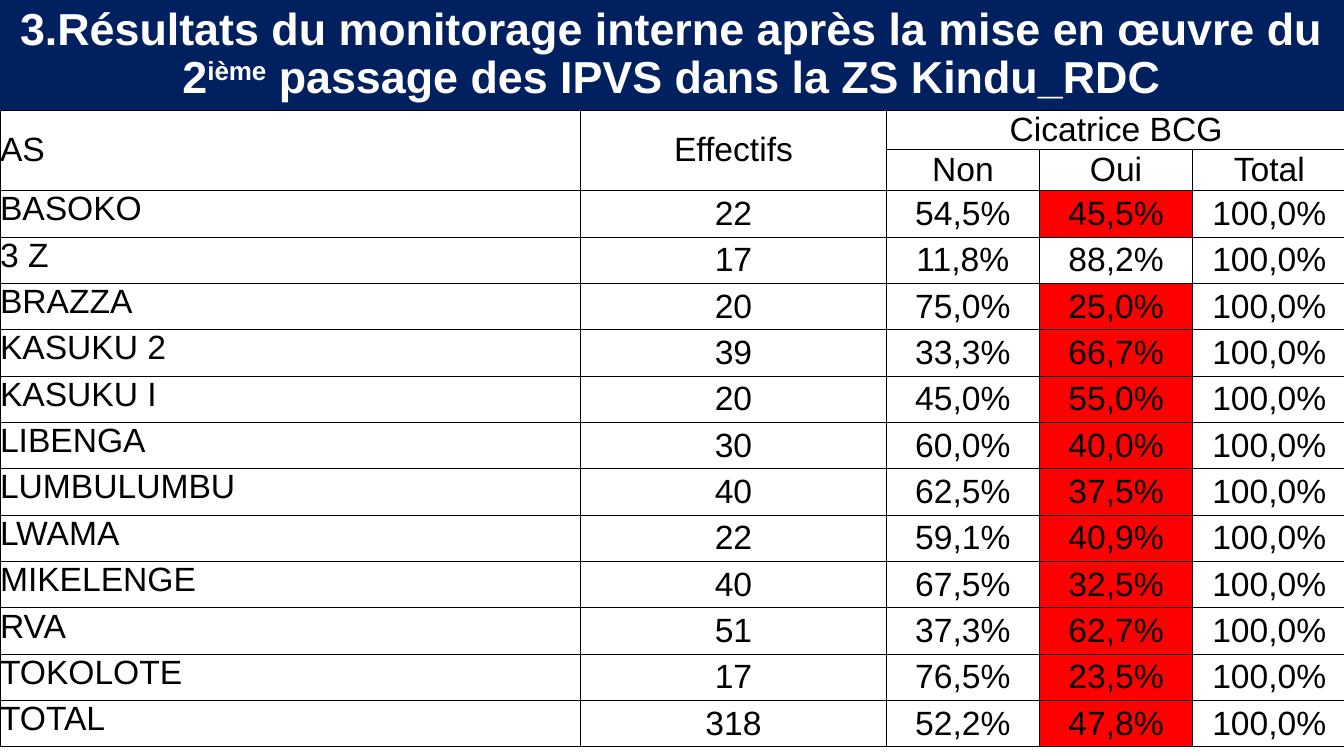
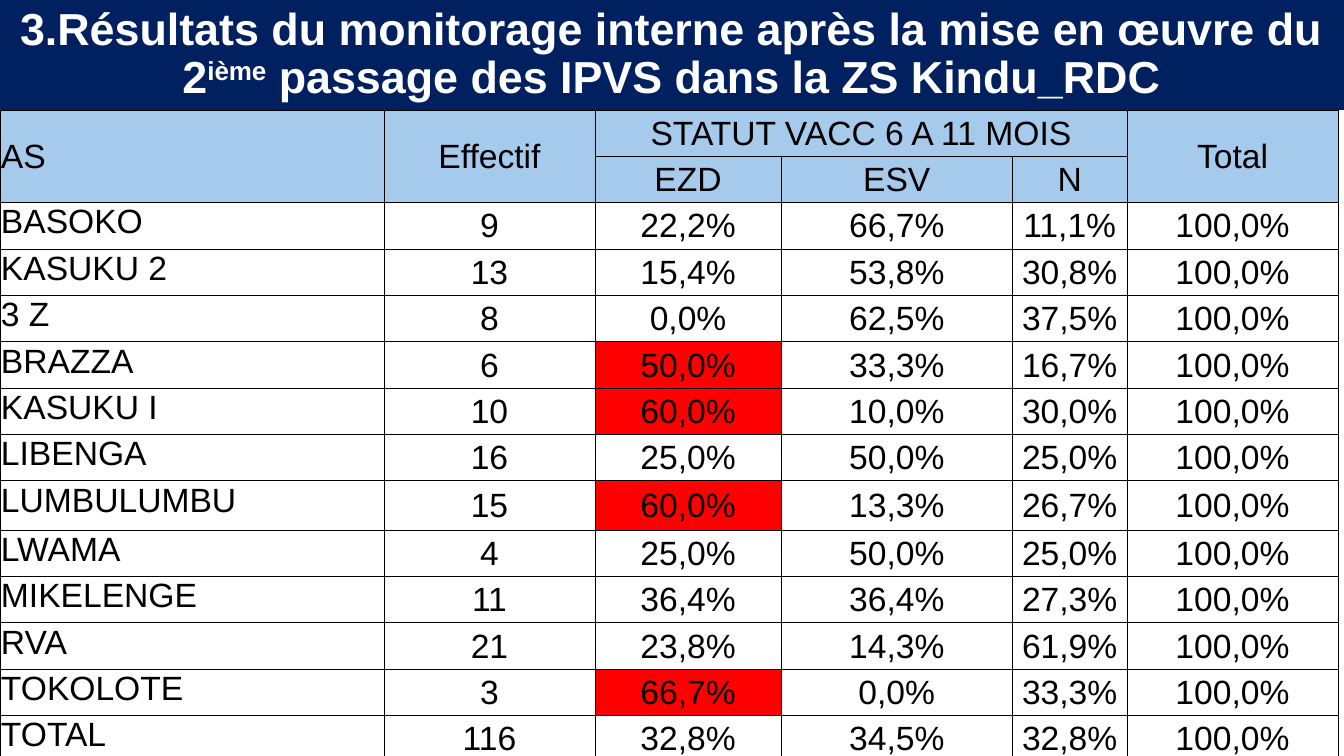
"""Build two slides of monitoring results by health area, one table each."""
from lxml import etree
from pptx import Presentation
from pptx.dml.color import RGBColor
from pptx.enum.text import MSO_ANCHOR, MSO_AUTO_SIZE, PP_ALIGN
from pptx.oxml.ns import qn
from pptx.util import Inches, Pt

MIDDLE, TOP = MSO_ANCHOR.MIDDLE, MSO_ANCHOR.TOP
CENTER, LEFT = PP_ALIGN.CENTER, PP_ALIGN.LEFT
NO_AUTOFIT = MSO_AUTO_SIZE.NONE

NAVY = RGBColor(0x00, 0x20, 0x60)
WHITE = RGBColor(0xFF, 0xFF, 0xFF)
BLACK = RGBColor(0x00, 0x00, 0x00)
RED = RGBColor(0xFF, 0x00, 0x00)
SKY = RGBColor(0xA6, 0xCA, 0xEC)

FONT = "Arial"
SLIDE_W, SLIDE_H = 13.33, 7.5
TITLE_H = 1.09
HEADER_ROWS = 2

TITLE_RUNS = [
    ("3.Résultats du monitorage interne après la mise en œuvre du 2", False),
    ("ième", True),
    (" passage des IPVS dans la ZS Kindu_RDC", False),
]

BCG_SCAR = {
    "header": [
        ["AS", "Effectifs", "Cicatrice BCG", "", ""],
        ["", "", "Non", "Oui", "Total"],
    ],
    "merges": [(0, 0, 1, 0), (0, 1, 1, 1), (0, 2, 0, 4)],
    "body": [
        ("BASOKO", "22", "54,5%", "45,5%"),
        ("3 Z", "17", "11,8%", "88,2%"),
        ("BRAZZA", "20", "75,0%", "25,0%"),
        ("KASUKU 2", "39", "33,3%", "66,7%"),
        ("KASUKU I", "20", "45,0%", "55,0%"),
        ("LIBENGA", "30", "60,0%", "40,0%"),
        ("LUMBULUMBU", "40", "62,5%", "37,5%"),
        ("LWAMA", "22", "59,1%", "40,9%"),
        ("MIKELENGE", "40", "67,5%", "32,5%"),
        ("RVA", "51", "37,3%", "62,7%"),
        ("TOKOLOTE", "17", "76,5%", "23,5%"),
        ("TOTAL", "318", "52,2%", "47,8%"),
    ],
    "cols": [5.76, 3.03, 1.52, 1.52, 1.52],
    "rows": [0.39, 0.41] + [0.46] * 12,
    "margins": (0, 0, 0, 0),
    "header_fill": None,
    "alert_col": 3,
    "is_alert": lambda rate: rate < 80,
}

VACCINE_STATUS = {
    "header": [
        ["AS", "Effectif", "STATUT VACC 6 A 11 MOIS", "", "", "Total"],
        ["", "", "EZD", "ESV", "N", ""],
    ],
    "merges": [(0, 0, 1, 0), (0, 1, 1, 1), (0, 2, 0, 4), (0, 5, 1, 5)],
    "body": [
        ("BASOKO", "9", "22,2%", "66,7%", "11,1%"),
        ("KASUKU 2", "13", "15,4%", "53,8%", "30,8%"),
        ("3 Z", "8", "0,0%", "62,5%", "37,5%"),
        ("BRAZZA", "6", "50,0%", "33,3%", "16,7%"),
        ("KASUKU I", "10", "60,0%", "10,0%", "30,0%"),
        ("LIBENGA", "16", "25,0%", "50,0%", "25,0%"),
        ("LUMBULUMBU", "15", "60,0%", "13,3%", "26,7%"),
        ("LWAMA", "4", "25,0%", "50,0%", "25,0%"),
        ("MIKELENGE", "11", "36,4%", "36,4%", "27,3%"),
        ("RVA", "21", "23,8%", "14,3%", "61,9%"),
        ("TOKOLOTE", "3", "66,7%", "0,0%", "33,3%"),
        ("TOTAL", "116", "32,8%", "34,5%", "32,8%"),
    ],
    "cols": [3.81, 2.09, 1.85, 2.29, 1.14, 2.09],
    "rows": [0.46] * 8 + [0.49] + [0.46] * 5,
    "margins": (0.01, 0.01, 0.01, 0),
    "header_fill": SKY,
    "alert_col": 2,
    "is_alert": lambda rate: rate >= 50,
}


def set_font(p, size, color, bold):
    p.font.name = FONT
    p.font.size = Pt(size)
    p.font.color.rgb = color
    p.font.bold = bold


def add_title(s):
    sp = s.shapes.title
    sp.left, sp.top = Inches(0), Inches(0)
    sp.width, sp.height = Inches(SLIDE_W), Inches(TITLE_H)
    sp.fill.solid()
    sp.fill.fore_color.rgb = NAVY
    tf = sp.text_frame
    tf.word_wrap = True
    tf.auto_size = NO_AUTOFIT
    tf.vertical_anchor = MIDDLE
    p = tf.paragraphs[0]
    p.alignment = CENTER
    p.line_spacing = 0.9
    for text, superscript in TITLE_RUNS:
        r = p.add_run()
        r.text = text
        if superscript:
            r.font._element.set("baseline", "30000")
    set_font(p, 32, WHITE, True)


def set_borders(cell):
    tc_pr = cell._tc.get_or_add_tcPr()
    for i, side in enumerate(("a:lnL", "a:lnR", "a:lnT", "a:lnB")):
        ln = etree.Element(qn(side), w=str(Pt(0.5)))
        fill = etree.SubElement(ln, qn("a:solidFill"))
        etree.SubElement(fill, qn("a:srgbClr"), val=str(BLACK))
        tc_pr.insert(i, ln)


def format_cell(cell, text, fill, margins, align, anchor):
    cell.text = text
    cell.vertical_anchor = anchor
    (cell.margin_left, cell.margin_top,
     cell.margin_right, cell.margin_bottom) = map(Inches, margins)
    p = cell.text_frame.paragraphs[0]
    p.alignment = align
    set_font(p, 24, BLACK, False)
    if fill is None:
        cell.fill.background()
    else:
        cell.fill.solid()
        cell.fill.fore_color.rgb = fill
    set_borders(cell)


def add_results(s, data):
    grid = data["header"] + [[*row, "100,0%"] for row in data["body"]]
    cols, rows = data["cols"], data["rows"]
    table = s.shapes.add_table(
        len(rows), len(cols), Inches(0), Inches(TITLE_H),
        Inches(sum(cols)), Inches(sum(rows))).table
    table.first_row = table.horz_banding = False
    for column, width in zip(table.columns, cols):
        column.width = Inches(width)
    for row, height in zip(table.rows, rows):
        row.height = Inches(height)
    for i, values in enumerate(grid):
        in_header = i < HEADER_ROWS
        for j, text in enumerate(values):
            fill = data["header_fill"] if in_header else None
            if not in_header and j == data["alert_col"]:
                rate = float(text.rstrip("%").replace(",", "."))
                fill = RED if data["is_alert"](rate) else None
            align = LEFT if j == 0 else CENTER
            anchor = TOP if j == 0 and not in_header else MIDDLE
            format_cell(table.cell(i, j), text, fill, data["margins"],
                        align, anchor)
    for top, left, bottom, right in data["merges"]:
        table.cell(top, left).merge(table.cell(bottom, right))


def main():
    prs = Presentation()
    prs.slide_width, prs.slide_height = Inches(SLIDE_W), Inches(SLIDE_H)
    title_only = prs.slide_layouts[5]
    for data in (BCG_SCAR, VACCINE_STATUS):
        s = prs.slides.add_slide(title_only)
        add_title(s)
        add_results(s, data)
    prs.save("out.pptx")


if __name__ == "__main__":
    main()
